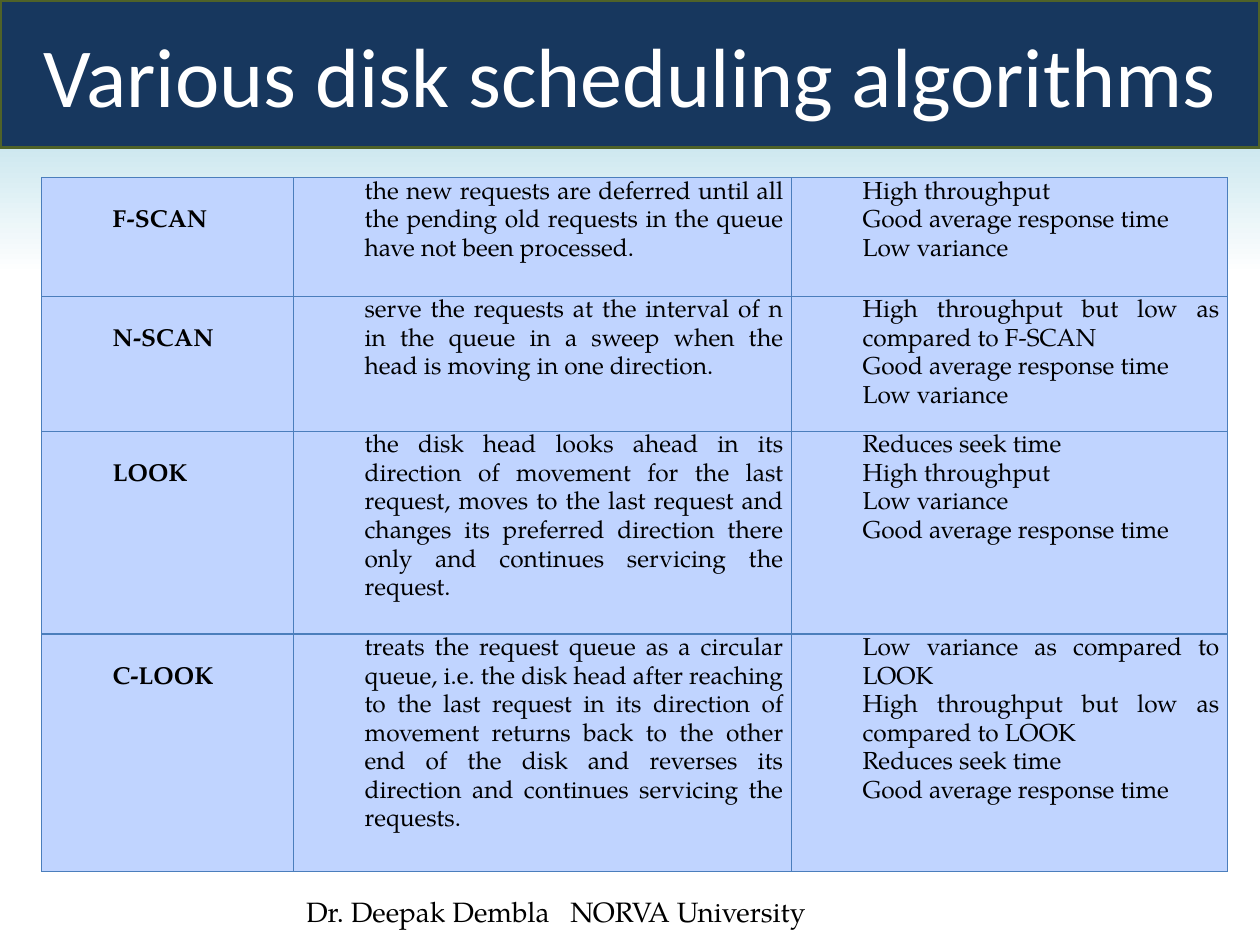
import dataclasses

import pptx
import pptx.dml.color
import pptx.enum.text
import pptx.oxml
import pptx.oxml.ns
import pptx.util
from lxml import etree

Cm = pptx.util.Cm
Pt = pptx.util.Pt
RGBColor = pptx.dml.color.RGBColor
Align = pptx.enum.text.PP_ALIGN

NAVY = RGBColor(0x17, 0x37, 0x5E)
OLIVE = RGBColor(0x4F, 0x62, 0x28)
SKY = RGBColor(0x93, 0xCD, 0xDD)
WHITE = RGBColor(0xFF, 0xFF, 0xFF)
BLACK = RGBColor(0, 0, 0)
PALE = RGBColor(0xC0, 0xD4, 0xFF)
EDGE = RGBColor(0x4B, 0x7E, 0xBC)
SERIF = "TeX Gyre Pagella"


@dataclasses.dataclass
class Method:
    name: str
    rule: str
    traits: list[str]
    height: float


METHODS = [
    Method("F-SCAN",
           "the new requests are deferred until all the pending old requests "
           "in the queue have not been processed.",
           ["High throughput", "Good average response time", "Low variance"],
           2.39),
    Method("N-SCAN",
           "serve the requests at the interval of n in the queue in a sweep "
           "when the head is moving in one direction.",
           ["High throughput but low as compared to F-SCAN",
            "Good average response time", "Low variance"],
           2.72),
    Method("LOOK",
           "the disk head looks ahead in its direction of movement for the last "
           "request, moves to the last request and changes its preferred "
           "direction there only and continues servicing the request.",
           ["Reduces seek time", "High throughput", "Low variance",
            "Good average response time"],
           4.08),
    Method("C-LOOK",
           "treats the request queue as a circular queue, i.e. the disk head "
           "after reaching to the last request in its direction of movement "
           "returns back to the other end of the disk and reverses its "
           "direction and continues servicing the requests.",
           ["Low variance as compared to LOOK",
            "High throughput but low as compared to LOOK",
            "Reduces seek time", "Good average response time"],
           4.78),
]
WIDTHS = [5.08, 10.04, 8.79]


def style(par, size: float, font: str, color: RGBColor, bold: bool = False) -> None:
    par.font.size = Pt(size)
    par.font.name = font
    par.font.color.rgb = color
    par.font.bold = bold


def edge(cell) -> None:
    """Draw a thin line on all four sides of the cell."""
    props = cell._tc.get_or_add_tcPr()
    for spot, side in enumerate(("lnL", "lnR", "lnT", "lnB")):
        line = pptx.oxml.parse_xml(
            f'<a:{side} {pptx.oxml.ns.nsdecls("a")} w="{Pt(0.75)}"><a:solidFill>'
            f'<a:srgbClr val="{EDGE}"/></a:solidFill></a:{side}>')
        props.insert(spot, line)


def fill_cell(cell, lines: list[str], top: float = 0, bold: bool = False) -> None:
    cell.fill.solid()
    cell.fill.fore_color.rgb = PALE
    edge(cell)
    cell.margin_left = cell.margin_right = Cm(0.16)
    cell.margin_top, cell.margin_bottom = Cm(top), 0
    cell.text = "\n".join(lines)
    for par in cell.text_frame.paragraphs:
        style(par, 14, SERIF, BLACK, bold)
        par.alignment = Align.JUSTIFY
        par.line_spacing = 1.15
        par._p.get_or_add_pPr().set("marL", str(Cm(1.27)))


def add_back(slide) -> None:
    fill = slide.background.fill
    fill.gradient()
    fill.gradient_angle = 270
    for stop, color, place in zip(fill.gradient_stops, (SKY, WHITE), (0, 0.29)):
        stop.color.rgb = color
        stop.position = place


def add_title(slide) -> None:
    title = slide.shapes.title
    title.left, title.top, title.width, title.height = 0, 0, Cm(25.4), Cm(2.97)
    title.fill.solid()
    title.fill.fore_color.rgb = NAVY
    title.line.color.rgb = OLIVE
    title.line.width = Pt(2)
    frame = title.text_frame
    frame.text = "Various disk scheduling algorithms"
    frame.vertical_anchor = pptx.enum.text.MSO_ANCHOR.MIDDLE
    frame.paragraphs[0].alignment = Align.CENTER
    style(frame.paragraphs[0], 48, "Calibri", WHITE)


def add_grid(slide) -> None:
    table = slide.shapes.add_table(
        len(METHODS), len(WIDTHS), Cm(0.84), Cm(3.58),
        Cm(sum(WIDTHS)), Cm(sum(m.height for m in METHODS))).table
    for col, width in zip(table.columns, WIDTHS):
        col.width = Cm(width)
    for row, method in zip(table.rows, METHODS):
        row.height = Cm(method.height)
        name, rule, traits = row.cells
        fill_cell(name, [method.name], top=0.58, bold=True)
        fill_cell(rule, [method.rule])
        fill_cell(traits, method.traits)


def add_credit(slide) -> None:
    frame = slide.shapes.add_textbox(Cm(5.92), Cm(17.91), Cm(15.04), Cm(0.94)).text_frame
    frame.word_wrap = True
    frame.text = "Dr. Deepak Dembla\tNORVA University"
    par = frame.paragraphs[0]
    style(par, 16, SERIF, BLACK)
    tabs = etree.SubElement(par._p.get_or_add_pPr(), pptx.oxml.ns.qn("a:tabLst"))
    etree.SubElement(tabs, pptx.oxml.ns.qn("a:tab"), pos=str(Cm(5.33)), algn="l")


def main() -> None:
    deck = pptx.Presentation()
    deck.slide_width, deck.slide_height = Cm(25.4), Cm(19.05)
    slide = deck.slides.add_slide(deck.slide_layouts[5])
    add_back(slide)
    add_credit(slide)
    add_title(slide)
    add_grid(slide)
    deck.save("out.pptx")


if __name__ == "__main__":
    main()
